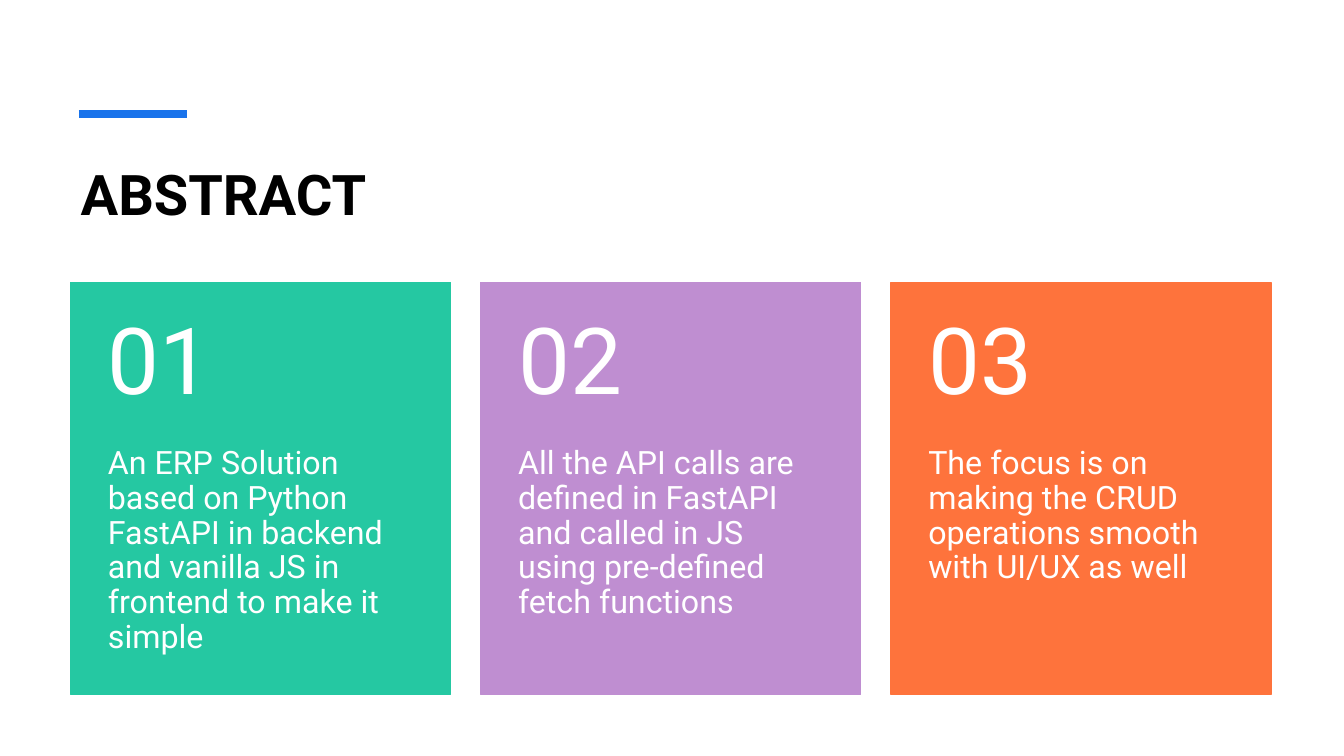
from dataclasses import dataclass
from pptx import Presentation
from pptx.dml.color import RGBColor as Rgb
from pptx.enum.shapes import MSO_CONNECTOR as Conn, MSO_SHAPE as Kind
from pptx.enum.text import MSO_ANCHOR as Anchor, PP_ALIGN as Align
from pptx.oxml.ns import qn
from pptx.util import Pt
from lxml.etree import SubElement

# Content
TITLE = "ABSTRACT"
CARDS = [
    ("25C8A2", "An ERP Solution based on Python FastAPI in backend and "
               "vanilla JS in frontend to make it simple"),
    ("BF8ED1", "All the API calls are defined in FastAPI and called in JS "
               "using pre-defined fetch functions"),
    ("FE733C", "The focus is on making the CRUD operations smooth with "
               "UI/UX as well"),
]


@dataclass
class Theme:
    font: str = "Roboto"
    ink: str = "000000"
    light: str = "FFFFFF"
    accent: str = "1973EB"
    title: int = 40
    number: int = 66
    body: int = 23


THEME = Theme()

# Layout in points
LEFT, TOP = 50.4, 201.6
WIDTH, HEIGHT = 271.5, 294.5
STEP = 293
HEAD = 117.5
PAD = 26.7


def write(shape, text, size, color, bold=False, anchor=Anchor.TOP,
          pads=(0, 0, 0, 0), space=1.0):
    """Put one formatted paragraph in a shape; pads: left, top, right, bottom."""
    frame = shape.text_frame
    frame.word_wrap = True
    frame.vertical_anchor = anchor
    frame.margin_left, frame.margin_top, frame.margin_right, \
        frame.margin_bottom = map(Pt, pads)
    para = frame.paragraphs[0]
    para.alignment = Align.LEFT
    para.line_spacing = space
    run = para.add_run()
    run.text = text
    font = run.font
    font.name, font.size, font.bold = THEME.font, Pt(size), bold
    font.color.rgb = Rgb.from_string(color)


def add_card(slide, num, color, text):
    left = LEFT + num * STEP
    panel = slide.shapes.add_shape(
        Kind.RECTANGLE, Pt(left), Pt(TOP), Pt(WIDTH), Pt(HEIGHT))
    panel.shadow.inherit = False
    panel.fill.solid()
    panel.fill.fore_color.rgb = Rgb.from_string(color)
    panel.line.color.rgb = Rgb.from_string(color)
    panel.line.width = Pt(1)

    # Description below, number above
    body = slide.shapes.add_textbox(
        Pt(left), Pt(TOP + HEAD), Pt(WIDTH), Pt(HEIGHT - HEAD))
    write(body, text, THEME.body, THEME.light,
          pads=(PAD, 0, PAD, 26), space=0.9)
    head = slide.shapes.add_textbox(Pt(left), Pt(TOP), Pt(WIDTH), Pt(HEAD))
    write(head, f"{num + 1:02}", THEME.number, THEME.light,
          anchor=Anchor.MIDDLE, pads=(PAD, 13, PAD, 13), space=0.9)


def main():
    deck = Presentation()
    deck.slide_width, deck.slide_height = Pt(960), Pt(540)
    slide = deck.slides.add_slide(deck.slide_layouts[5])

    # Title
    title = slide.shapes.title
    title.left, title.top = Pt(LEFT), Pt(108)
    title.width, title.height = Pt(857.5), Pt(86.4)
    write(title, TITLE, THEME.title, THEME.ink, bold=True,
          pads=(7.2, 6, 7.2, 3.6))

    # Accent rule
    rule = slide.shapes.add_connector(
        Conn.STRAIGHT, Pt(56.4), Pt(81.4), Pt(133.4), Pt(81.4))
    rule.line.color.rgb = Rgb.from_string(THEME.accent)
    rule.line.width = Pt(6)
    SubElement(rule._element.spPr, qn("a:effectLst"))

    # Cards
    for num, (color, text) in enumerate(CARDS):
        add_card(slide, num, color, text)

    deck.save("out.pptx")


if __name__ == "__main__":
    main()
